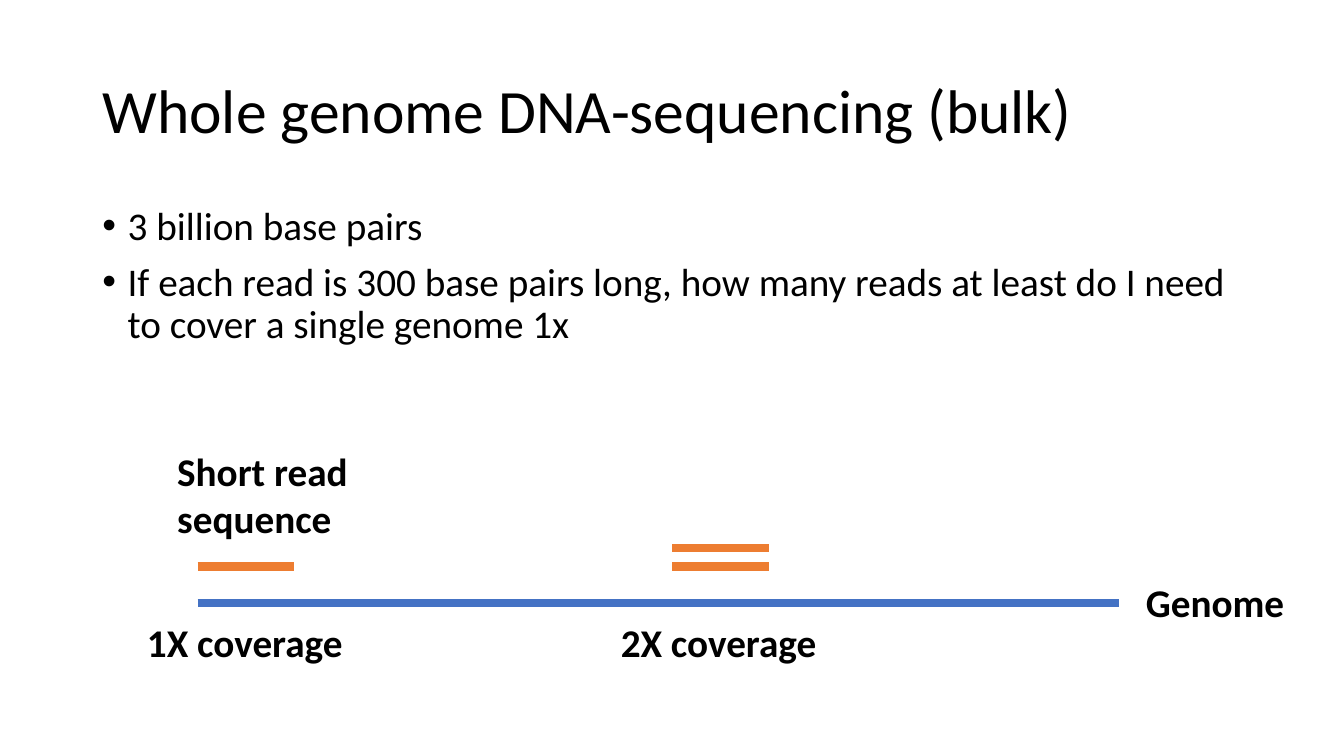
from dataclasses import dataclass, field

from lxml import etree
from pptx import Presentation
from pptx.dml.color import RGBColor
from pptx.enum.text import MSO_ANCHOR, MSO_AUTO_SIZE
from pptx.oxml.ns import qn
from pptx.util import Inches, Pt

TOP, MIDDLE = MSO_ANCHOR.TOP, MSO_ANCHOR.MIDDLE
FIT_SHAPE, NO_FIT = MSO_AUTO_SIZE.SHAPE_TO_FIT_TEXT, MSO_AUTO_SIZE.NONE
BLACK, BLUE, ORANGE = "000000", "4472C4", "ED7D31"
FONT = "Calibri"
BULLET_INDENT = Inches(0.25)

presentation = Presentation()
presentation.slide_width = Inches(13.333)
presentation.slide_height = Inches(7.5)
slide = presentation.slides.add_slide(presentation.slide_layouts[6])


# All positions are percentages of the slide's width and height
def across(share: float) -> int:
    return round(presentation.slide_width * share / 100)


def down(share: float) -> int:
    return round(presentation.slide_height * share / 100)


def color(value: str) -> RGBColor:
    return RGBColor.from_string(value)


@dataclass
class TextBlock:
    lines: list[str]
    left: float
    top: float
    width: float
    height: float
    size: int = 28
    bold: bool = False
    bulleted: bool = False
    frame: dict = field(default_factory=dict)
    paragraph: dict = field(default_factory=dict)


@dataclass
class Strand:
    left: float
    y: float
    length: float
    color: str


def add_bullet(paragraph) -> None:
    properties = paragraph._p.get_or_add_pPr()
    properties.set("marL", str(BULLET_INDENT))
    properties.set("indent", str(-BULLET_INDENT))
    etree.SubElement(properties, qn("a:buFont")).set("typeface", "Arial")
    etree.SubElement(properties, qn("a:buChar")).set("char", "•")


def draw_text(block: TextBlock) -> None:
    shape = slide.shapes.add_textbox(across(block.left), down(block.top),
                                     across(block.width), down(block.height))
    text_frame = shape.text_frame
    for name, value in block.frame.items():
        setattr(text_frame, name, value)
    for index, line in enumerate(block.lines):
        paragraph = text_frame.add_paragraph() if index else text_frame.paragraphs[0]
        paragraph.text = line
        if block.bulleted:
            add_bullet(paragraph)
            paragraph.space_before = Pt(10 if index else 0)
        for name, value in block.paragraph.items():
            setattr(paragraph, name, value)
        for name, value in {"name": FONT, "size": Pt(block.size), "bold": block.bold}.items():
            setattr(paragraph.font, name, value)
        paragraph.font.color.rgb = color(BLACK)


def draw_strand(strand: Strand) -> None:
    y = down(strand.y)
    connector = slide.shapes.add_connector(1, across(strand.left), y,
                                           across(strand.left + strand.length), y)
    connector.line.width = Pt(6)
    connector.line.color.rgb = color(strand.color)
    etree.SubElement(connector._element.spPr, qn("a:effectLst"))


# Title and question
MARGIN, CONTENT_WIDTH = 6.88, 86.25
TIGHT = {"line_spacing": 0.9}
WRAPPED = {"word_wrap": True, "auto_size": NO_FIT}
draw_text(TextBlock(["Whole genome DNA-sequencing (bulk)"],
                    MARGIN, 5.32, CONTENT_WIDTH, 19.33, size=44,
                    frame=WRAPPED | {"vertical_anchor": MIDDLE}, paragraph=TIGHT))
draw_text(TextBlock(["3 billion base pairs",
                     "If each read is 300 base pairs long, how many reads at least "
                     "do I need to cover a single genome 1x"],
                    MARGIN, 26.62, CONTENT_WIDTH, 63.46, bulleted=True,
                    frame=WRAPPED | {"vertical_anchor": TOP}, paragraph=TIGHT))

# Genome with the short reads stacked above it
GENOME_LEFT, SECOND_LEFT = 14.7, 50.02
READ_LENGTH, READ_Y, READ_STEP = 7.2, 74.93, 2.4
draw_strand(Strand(GENOME_LEFT, 79.73, 68.55, BLUE))
for read_left, coverage in ((GENOME_LEFT, 1), (SECOND_LEFT, 2)):
    for level in range(coverage):
        draw_strand(Strand(read_left, READ_Y - level * READ_STEP, READ_LENGTH, ORANGE))

# Labels around the genome
LABEL_HEIGHT, COVERAGE_TOP, COVERAGE_WIDTH = 7.6, 81.07, 16.28
LABEL_FRAME = {"word_wrap": False, "auto_size": FIT_SHAPE}
for lines, left, top, width, height in (
    (["Genome"], 84.52, 75.87, 11.92, LABEL_HEIGHT),
    (["Short read", "sequence"], 12.45, 58.53, 15, 13.87),
    (["1X coverage"], 10.2, COVERAGE_TOP, COVERAGE_WIDTH, LABEL_HEIGHT),
    (["2X coverage"], 45.45, COVERAGE_TOP, COVERAGE_WIDTH, LABEL_HEIGHT),
):
    draw_text(TextBlock(lines, left, top, width, height, bold=True, frame=LABEL_FRAME))

presentation.save("out.pptx")
